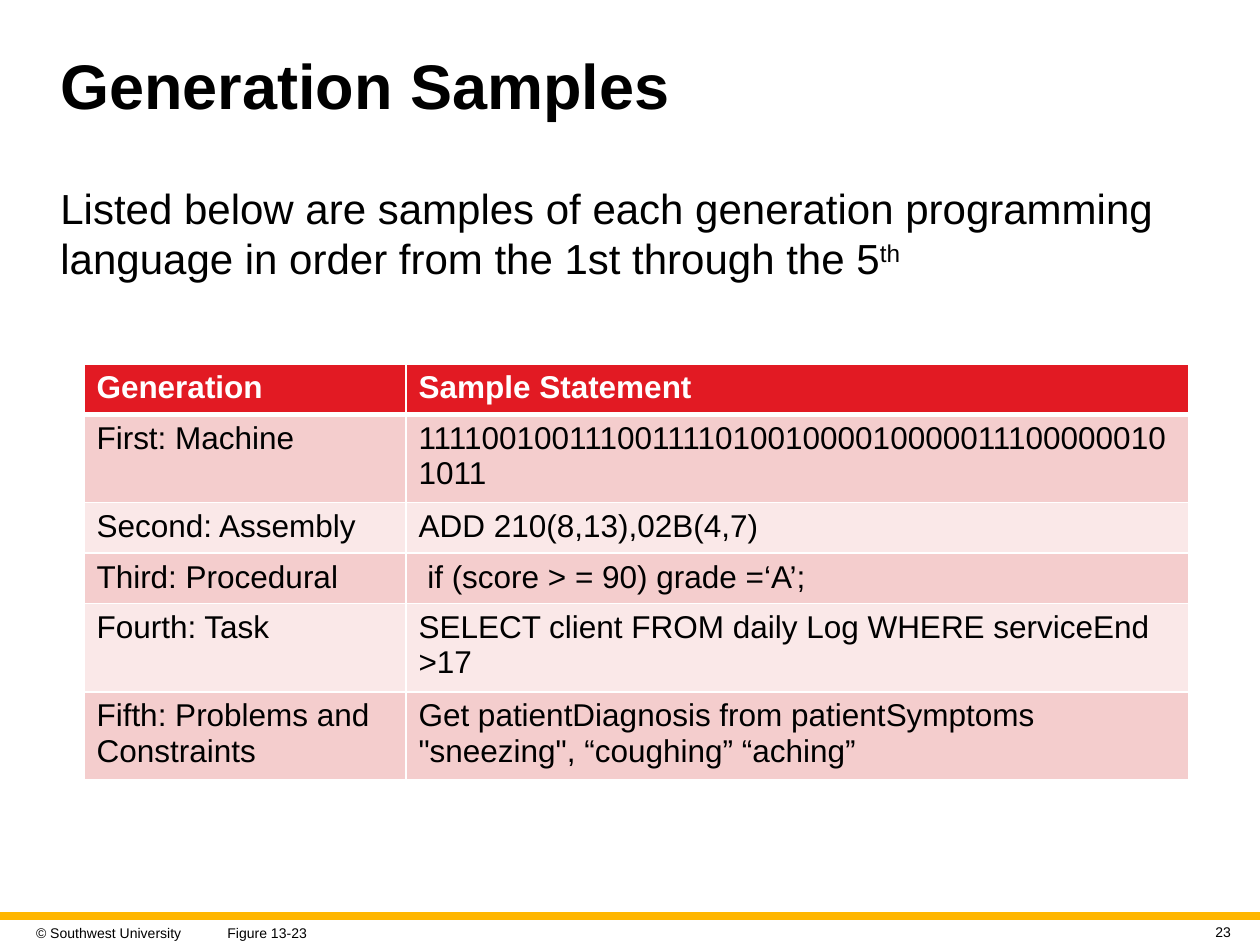
from lxml import etree
from pptx import Presentation
from pptx.dml.color import RGBColor
from pptx.enum.shapes import MSO_SHAPE
from pptx.enum.text import MSO_ANCHOR, PP_ALIGN
from pptx.oxml.ns import qn
from pptx.util import Pt

SCALE = 914400 / 126
RECT = MSO_SHAPE.RECTANGLE
TOP, MIDDLE = MSO_ANCHOR.TOP, MSO_ANCHOR.MIDDLE
LEFT, RIGHT = PP_ALIGN.LEFT, PP_ALIGN.RIGHT

BLACK = RGBColor(0x00, 0x00, 0x00)
WHITE = RGBColor(0xFF, 0xFF, 0xFF)
GOLD = RGBColor(0xFF, 0xB6, 0x00)
RED = RGBColor(0xE2, 0x1A, 0x23)
ROSE = RGBColor(0xF4, 0xCD, 0xCD)
BLUSH = RGBColor(0xFA, 0xE8, 0xE8)

ROWS = [
    ("Generation", "Sample Statement"),
    ("First: Machine", "111100100111001111010010000100000111000000101011"),
    ("Second: Assembly", "ADD 210(8,13),02B(4,7)"),
    ("Third: Procedural", " if (score > = 90) grade =‘A’;"),
    ("Fourth: Task", "SELECT client FROM daily Log WHERE serviceEnd >17"),
    ("Fifth: Problems and Constraints",
     'Get patientDiagnosis from patientSymptoms "sneezing", “coughing” “aching”'),
]


def px(n):
    return round(n * SCALE)


class Page:
    font = "Arial"

    def __init__(self, deck):
        self.slide = deck.slides.add_slide(deck.slide_layouts[6])
        self.shapes = self.slide.shapes

    def run(self, para, text, size, color=BLACK, bold=False, base=0):
        run = para.add_run()
        run.text = text
        run.font.name = self.font
        run.font.size = Pt(size)
        run.font.bold = bold
        run.font.color.rgb = color
        if base:
            run.font._element.set("baseline", str(base * 1000))

    def bar(self, x, y, w, h, color):
        bar = self.shapes.add_shape(RECT, px(x), px(y), px(w), px(h))
        bar.shadow.inherit = False
        bar.fill.solid()
        bar.fill.fore_color.rgb = color
        bar.line.fill.background()

    def text(self, x, y, w, h, runs, size, bold=False, anchor=MIDDLE,
             align=LEFT, inset=None, spacing=None):
        frame = self.shapes.add_textbox(px(x), px(y), px(w), px(h)).text_frame
        frame.word_wrap = True
        frame.vertical_anchor = anchor
        if inset is not None:
            frame.margin_left = frame.margin_right = px(inset)
            frame.margin_top = frame.margin_bottom = px(inset)
        para = frame.paragraphs[0]
        para.alignment = align
        if spacing:
            para.line_spacing = spacing
        for text, base in runs:
            self.run(para, text, size, bold=bold, base=base)

    def edge(self, cell, side, width):
        line = etree.SubElement(cell._tc.get_or_add_tcPr(), qn("a:ln" + side),
                                w=str(Pt(width)))
        fill = etree.SubElement(line, qn("a:solidFill"))
        etree.SubElement(fill, qn("a:srgbClr"), val=str(WHITE))

    def table(self, x, y, cols, highs, rows, size):
        frame = self.shapes.add_table(len(rows), len(cols), px(x), px(y),
                                      px(sum(cols)), px(sum(highs)))
        table = frame.table
        for col, wide in zip(table.columns, cols):
            col.width = px(wide)
        for i, (row, high) in enumerate(zip(table.rows, highs)):
            row.height = px(high)
            head = i == 0
            for cell, text in zip(row.cells, rows[i]):
                for side in "LRTB":
                    thick = (head and side == "B") or (i == 1 and side == "T")
                    self.edge(cell, side, 3 if thick else 1)
                cell.fill.solid()
                cell.fill.fore_color.rgb = RED if head else ROSE if i % 2 else BLUSH
                self.run(cell.text_frame.paragraphs[0], text, size,
                         WHITE if head else BLACK, head)


def main():
    deck = Presentation()
    deck.slide_width, deck.slide_height = px(1260), px(945)
    page = Page(deck)

    # Footer band
    page.bar(0, 912, 1260, 8, GOLD)
    page.text(30, 918, 170, 30, [("© Southwest University", 0)], 8, inset=6)

    # Title and lead
    page.text(48, 33, 1166, 113, [("Generation Samples", 0)], 36, bold=True,
              spacing=0.9)
    lead = ("Listed below are samples of each generation programming language "
            "in order from the 1st through the 5")
    page.text(48, 176, 1166, 121, [(lead, 0), ("th", 30)], 24, anchor=TOP)

    # Samples
    page.table(84, 364, [322, 783], [47, 83, 48, 48, 83, 83], ROWS, 18)

    # Figure label and page number
    page.text(215, 921, 960, 24, [("Figure 13-23", 0)], 8)
    page.text(1188, 920, 49, 23, [("23", 0)], 8, align=RIGHT, inset=6)

    deck.save("out.pptx")


if __name__ == "__main__":
    main()
